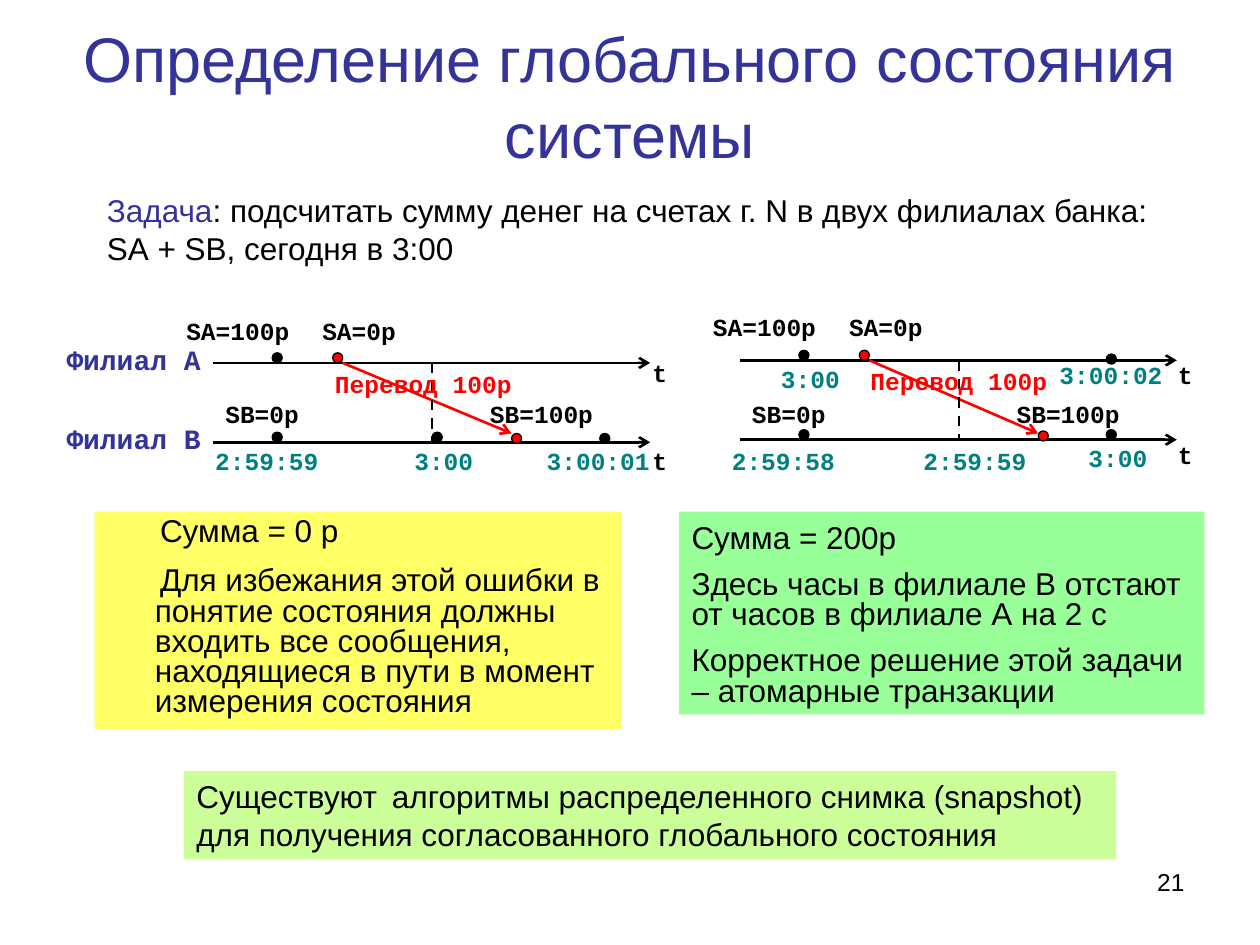
from lxml import etree
from pptx import Presentation
from pptx import util as u
from pptx.dml.color import RGBColor
from pptx.enum import dml, shapes, text
from pptx.oxml.ns import qn

PX = 9144
BLACK, RED, NAVY, TEAL = "000000", "FF0000", "333399", "008080"
MONO = {"name": "Courier New", "size": u.Pt(14), "bold": True}
BRANCH = {**MONO, "size": u.Pt(16)}
SANS = {"name": "Arial", "size": u.Pt(18)}
TITLE = {**SANS, "size": u.Pt(36)}
NUMBER = {**SANS, "size": u.Pt(14)}
TIGHT = {"line_spacing": 0.8, "space_before": u.Pt(9)}
FIRST = {"space_before": u.Pt(11.2)}


def px(*lengths):
    """Turn whole px into EMU."""
    return [u.Emu(length * PX) for length in lengths]


def colour(hex_code):
    """Turn a hex string into a colour."""
    return RGBColor.from_string(hex_code)


def apply(target, values):
    """Set each attribute named in a dict of format values."""
    for name, value in values.items():
        setattr(target, name, value)


def place(part, box):
    """Move a placeholder to a box in px."""
    apply(part, dict(zip(("left", "top", "width", "height"), px(*box))))


def paint(part, fill):
    """Give a part a solid fill."""
    part.fill.solid()
    part.fill.fore_color.rgb = colour(fill)


def write(part, paragraphs, anchor=text.MSO_ANCHOR.TOP):
    """Fill a part with paragraphs of (format, [(words, font, colour)])."""
    frame = part.text_frame
    apply(frame, {"word_wrap": True, "auto_size": text.MSO_AUTO_SIZE.NONE,
                  "vertical_anchor": anchor})
    for index, (layout, runs) in enumerate(paragraphs):
        line = frame.add_paragraph() if index else frame.paragraphs[0]
        apply(line, layout)
        for words, font, ink in runs:
            run = line.add_run()
            run.text = words
            apply(run.font, font)
            run.font.color.rgb = colour(ink)


def add_text(slide, box, paragraphs, fill=None):
    """Add a text box, filled when a colour is given."""
    panel = slide.shapes.add_textbox(*px(*box))
    if fill:
        paint(panel, fill)
    write(panel, paragraphs)


def add_label(slide, x, y, words, ink=BLACK, font=MONO):
    """Add a one-line monospaced label."""
    width = 14 * len(words) + 24
    add_text(slide, (x, y, width, 34), [({}, [(words, font, ink)])])


def add_line(slide, start, end, ink=BLACK, arrow=False):
    """Add an arrow or a dashed line."""
    line = slide.shapes.add_connector(shapes.MSO_CONNECTOR.STRAIGHT, *px(*start, *end))
    line.line.color.rgb = colour(ink)
    line.line.width = u.Pt(1.5)
    if arrow:
        etree.SubElement(line.line._get_or_add_ln(), qn("a:tailEnd"), type="arrow")
    else:
        line.line.dash_style = dml.MSO_LINE.DASH
    etree.SubElement(line._element.spPr, qn("a:effectLst"))


def add_event(slide, x, y, fill=BLACK):
    """Add a dot for an event on a time axis."""
    dot = slide.shapes.add_shape(shapes.MSO_SHAPE.OVAL, *px(x, y, 8, 8))
    dot.shadow.inherit = False
    paint(dot, fill)
    dot.line.color.rgb = colour(BLACK)
    dot.line.width = u.Pt(0.75)


def add_timeline(slide, x, y, extra_events, balance_y, transfer, times):
    """Add the two branch axes with the transfer between them."""
    for axis in (y, y + 63):
        add_line(slide, (x, axis), (x + 347, axis), arrow=True)
        add_event(slide, x + 47, axis - 8)
    add_line(slide, (x + 103, y), (x + 237, 344), RED, arrow=True)
    add_line(slide, (x + 174, y), (x + 174, y + 63))
    add_event(slide, x + 95, y - 8, RED)
    add_event(slide, x + 237, y + 56, RED)
    for event in extra_events:
        add_event(slide, *event)
    add_label(slide, x - 31, balance_y, "SА=100p")
    add_label(slide, x + 77, balance_y, "SА=0p")
    add_label(slide, x, 312, "SВ=0p")
    add_label(slide, x + 210, 312, "SВ=100p")
    add_label(slide, *transfer, "Перевод 100р", RED)
    for time in times:
        add_label(slide, *time, TEAL)


def main():
    """Build the slide."""
    deck = Presentation()
    deck.slide_width, deck.slide_height = px(1000, 750)
    slide = deck.slides.add_slide(deck.slide_layouts[1])
    title, lost_sum = slide.placeholders

    place(title, (0, 13, 1000, 125))
    write(title, [({"alignment": text.PP_ALIGN.CENTER},
                   [("Определение глобального состояния системы", TITLE, NAVY)])],
          text.MSO_ANCHOR.MIDDLE)
    add_text(slide, (75, 147, 858, 70), [(FIRST, [
        ("Задача", SANS, NAVY),
        (": подсчитать сумму денег на счетах г. N в двух филиалах банка: "
         "SА + SВ, сегодня в 3:00", SANS, BLACK)])])

    add_timeline(slide, 169, 288, [(343, 343), (476, 344)], 246, (256, 288),
                 [(161, 349, "2:59:59"), (319, 349, "3:00"), (424, 349, "3:00:01")])
    add_timeline(slide, 587, 286, [(878, 281), (878, 341)], 243, (681, 286),
                 [(610, 284, "3:00"), (831, 281, "3:00:02"), (571, 349, "2:59:58"),
                  (723, 349, "2:59:59"), (854, 347, "3:00")])
    for x, y in ((508, 279), (508, 349), (925, 281), (925, 344)):
        add_label(slide, x, y, "t")
    for y, branch in ((267, "Филиал А"), (330, "Филиал В")):
        add_label(slide, 43, y, branch, NAVY, BRANCH)

    place(lost_sum, (75, 406, 418, 173))
    paint(lost_sum, "FFFF66")
    write(lost_sum, [({**TIGHT, **FIRST}, [(words, SANS, BLACK)]) for words in (
        "Сумма = 0 р",
        "Для избежания этой ошибки в понятие состояния должны входить все "
        "сообщения, находящиеся в пути в момент измерения состояния")])
    for line in lost_sum.text_frame.paragraphs:
        margins = line._p.get_or_add_pPr()
        margins.set("marL", str(38 * PX))
        margins.set("indent", str(4 * PX))
        etree.SubElement(margins, qn("a:buNone"))

    add_text(slide, (539, 406, 417, 161), [
        (layout, [(words, SANS, BLACK)]) for layout, words in (
            (FIRST, "Сумма = 200р"),
            (TIGHT, "Здесь часы в филиале В отстают от часов в филиале А на 2 с"),
            (TIGHT, "Корректное решение этой задачи – атомарные транзакции"))], "99FF99")
    add_text(slide, (146, 612, 740, 70), [(FIRST, [
        ("Существуют", SANS, BLACK), (" ", MONO, BLACK),
        ("алгоритмы распределенного снимка (snapshot) для получения "
         "согласованного глобального состояния", SANS, BLACK)])], "CCFF99")
    add_text(slide, (717, 683, 233, 52),
             [({"alignment": text.PP_ALIGN.RIGHT}, [("21", NUMBER, BLACK)])])
    deck.save("out.pptx")


if __name__ == "__main__":
    main()
